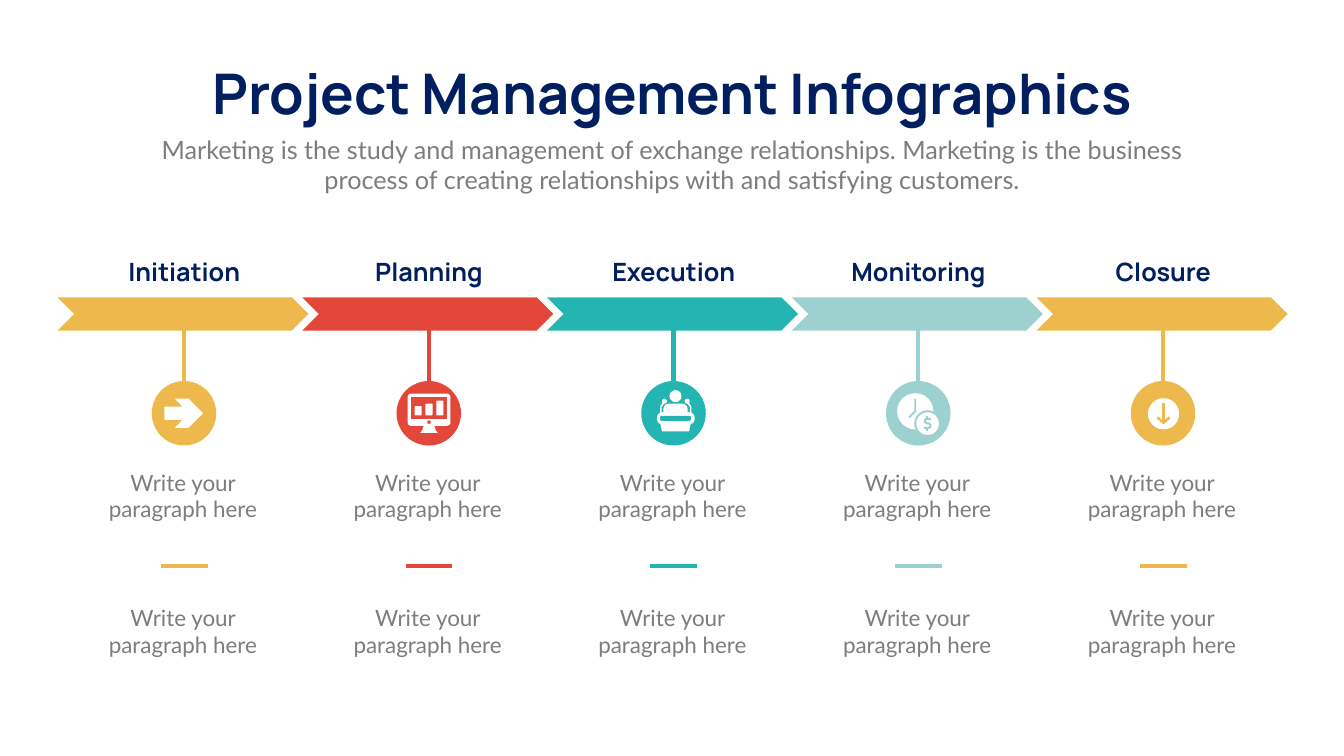
from dataclasses import dataclass
from typing import Callable

from lxml.etree import SubElement
from pptx import Presentation
from pptx.dml.color import RGBColor
from pptx.enum.shapes import MSO_CONNECTOR, MSO_SHAPE
from pptx.enum.text import MSO_AUTO_SIZE, PP_ALIGN
from pptx.oxml.ns import qn
from pptx.util import Inches, Pt

NAVY, GRAY, WHITE = "011F5E", "7E7C7F", "FFFFFF"
YELLOW, RED, TEAL, AQUA = "EEB94C", "E34739", "24B5B2", "9CD1D0"
FIRST_CENTER, PITCH = 3.65, 4.855
CIRCLE_TOP, CIRCLE_SIZE = 7.56, 1.28
Points = list[tuple[float, float]]

deck = Presentation()
deck.slide_width, deck.slide_height = Inches(26.66), Inches(15)
slide = deck.slides.add_slide(deck.slide_layouts[6])
shapes = slide.shapes


def rgb(color: str) -> RGBColor:
    return RGBColor.from_string(color)


def add_text(text: str, left: float, top: float, width: float, height: float, *,
             size: float, font: str, color: str, bold: bool = False,
             wrap: bool = True) -> None:
    frame = shapes.add_textbox(Inches(left), Inches(top),
                               Inches(width), Inches(height)).text_frame
    frame.word_wrap = wrap
    frame.auto_size = MSO_AUTO_SIZE.SHAPE_TO_FIT_TEXT
    paragraph = frame.paragraphs[0]
    paragraph.alignment = PP_ALIGN.CENTER
    run = paragraph.add_run()
    run.text = text
    run.font.size, run.font.name, run.font.bold = Pt(size), font, bold
    run.font.color.rgb = rgb(color)


def add_filled(kind: MSO_SHAPE, left: float, top: float, width: float,
               height: float, color: str, corner: float | None = None) -> None:
    shape = shapes.add_shape(kind, Inches(left), Inches(top),
                             Inches(width), Inches(height))
    shape.shadow.inherit = False
    shape.fill.solid()
    shape.fill.fore_color.rgb = rgb(color)
    shape.line.fill.background()
    if corner is not None:
        shape.adjustments[0] = corner


def add_line(x1: float, y1: float, x2: float, y2: float, color: str) -> None:
    line = shapes.add_connector(MSO_CONNECTOR.STRAIGHT, Inches(x1), Inches(y1),
                                Inches(x2), Inches(y2))
    line.line.color.rgb = rgb(color)
    line.line.width = Pt(6)
    SubElement(line._element.spPr, qn("a:effectLst"))


@dataclass
class Icon:
    """Drawing area whose origin is the top left corner of a stage circle."""
    left: float
    top: float
    accent: str

    def preset(self, kind: MSO_SHAPE, x: float, y: float, width: float,
               height: float, color: str = WHITE, corner: float | None = None) -> None:
        add_filled(kind, self.left + x, self.top + y, width, height, color, corner)

    def outline(self, points: Points, color: str = WHITE, stroke: float = 0) -> None:
        """Fill a closed outline, or draw an open line if stroke (points) is given."""
        placed = [(Inches(self.left + x), Inches(self.top + y)) for x, y in points]
        builder = shapes.build_freeform(*placed[0])
        builder.add_line_segments(placed[1:], close=not stroke)
        shape = builder.convert_to_shape()
        shape.shadow.inherit = False
        if stroke:
            shape.fill.background()
            shape.line.color.rgb = rgb(color)
            shape.line.width = Pt(stroke)
        else:
            shape.fill.solid()
            shape.fill.fore_color.rgb = rgb(color)
            shape.line.fill.background()


def draw_arrow(icon: Icon) -> None:
    icon.outline([(0.25, 0.51), (0.61, 0.51), (0.46, 0.35), (0.73, 0.35), (1.02, 0.64),
                  (0.73, 0.93), (0.46, 0.93), (0.61, 0.77), (0.25, 0.77)])


def draw_monitor(icon: Icon) -> None:
    icon.preset(MSO_SHAPE.ROUNDED_RECTANGLE, 0.22, 0.25, 0.85, 0.64, corner=0.11)
    icon.preset(MSO_SHAPE.RECTANGLE, 0.29, 0.32, 0.71, 0.43, icon.accent)
    for bar, height in enumerate((0.18, 0.23, 0.29)):
        icon.preset(MSO_SHAPE.ROUNDED_RECTANGLE, 0.36 + 0.215 * bar, 0.68 - height,
                    0.14, height, corner=0.1)
    icon.preset(MSO_SHAPE.OVAL, 0.61, 0.78, 0.07, 0.07, icon.accent)
    icon.outline([(0.54, 0.89), (0.75, 0.89), (0.78, 0.98), (0.82, 1.03),
                  (0.47, 1.03), (0.51, 0.98)])


def draw_speaker(icon: Icon) -> None:
    icon.preset(MSO_SHAPE.OVAL, 0.56, 0.18, 0.24, 0.24)
    icon.preset(MSO_SHAPE.ROUNDED_RECTANGLE, 0.44, 0.45, 0.48, 0.25, corner=0.4)
    for microphone, stem in ((0.46, 0.39), (0.91, 0.98)):
        icon.preset(MSO_SHAPE.OVAL, microphone - 0.05, 0.35, 0.1, 0.1)
        icon.outline([(microphone, 0.41), (stem, 0.51), (stem, 0.65)], stroke=2.4)
    icon.preset(MSO_SHAPE.ROUNDED_RECTANGLE, 0.31, 0.62, 0.75, 0.24, corner=0.45)
    icon.preset(MSO_SHAPE.ROUNDED_RECTANGLE, 0.37, 0.69, 0.62, 0.1, icon.accent, 0.4)
    icon.outline([(0.38, 0.85), (0.98, 0.85), (0.95, 1), (0.41, 1)])


def draw_clock_and_coin(icon: Icon) -> None:
    icon.preset(MSO_SHAPE.OVAL, 0.22, 0.24, 0.72, 0.72)
    icon.outline([(0.58, 0.35), (0.58, 0.6), (0.46, 0.72)], icon.accent, 2.8)
    icon.preset(MSO_SHAPE.OVAL, 0.56, 0.58, 0.53, 0.53, icon.accent)
    icon.preset(MSO_SHAPE.OVAL, 0.6, 0.62, 0.45, 0.45)
    icon.outline([(0.89, 0.75), (0.81, 0.75), (0.77, 0.77), (0.77, 0.81), (0.81, 0.84),
                  (0.85, 0.84), (0.88, 0.87), (0.88, 0.91), (0.84, 0.93),
                  (0.75, 0.93)], icon.accent, 2.8)
    for top in (0.69, 0.93):
        icon.outline([(0.82, top), (0.82, top + 0.06)], icon.accent, 2.8)


def draw_download(icon: Icon) -> None:
    icon.preset(MSO_SHAPE.OVAL, 0.34, 0.34, 0.62, 0.62)
    icon.outline([(0.65, 0.44), (0.65, 0.83)], icon.accent, 3.6)
    icon.outline([(0.53, 0.72), (0.65, 0.83), (0.77, 0.72)], icon.accent, 3.6)


@dataclass
class Stage:
    name: str
    color: str
    draw_icon: Callable[[Icon], None]


STAGES = [
    Stage("Initiation", YELLOW, draw_arrow),
    Stage("Planning", RED, draw_monitor),
    Stage("Execution", TEAL, draw_speaker),
    Stage("Monitoring", AQUA, draw_clock_and_coin),
    Stage("Closure", YELLOW, draw_download),
]


def draw_stage(stage: Stage, center: float) -> None:
    add_filled(MSO_SHAPE.CHEVRON, center - 2.51, 5.9, 4.98, 0.66, stage.color)
    add_line(center, 6.36, center, 8.37, stage.color)
    circle_left = center - CIRCLE_SIZE / 2
    add_filled(MSO_SHAPE.OVAL, circle_left, CIRCLE_TOP, CIRCLE_SIZE, CIRCLE_SIZE,
               stage.color)
    add_text(stage.name, center - 1.85, 5.03, 3.71, 0.71,
             size=36, font="Manrope", color=NAVY, bold=True)
    for top in (9.25, 11.93):
        add_text("Write your paragraph here", center - 1.85, top, 3.66, 1.18,
                 size=32, font="Lato", color=GRAY)
    add_line(center + 0.47, 11.23, center - 0.46, 11.23, stage.color)
    stage.draw_icon(Icon(circle_left, CIRCLE_TOP, stage.color))


add_text("Project Management Infographics", 3.36, 1.12, 19.95, 1.45,
         size=80, font="Manrope", color=NAVY, bold=True, wrap=False)
add_text("Marketing is the study and management of exchange relationships. "
         "Marketing is the business process of creating relationships with and "
         "satisfying customers.", 2.92, 2.61, 20.82, 1.31,
         size=36, font="Lato", color=GRAY)
for position, stage in enumerate(STAGES):
    draw_stage(stage, FIRST_CENTER + PITCH * position)
deck.save("out.pptx")
